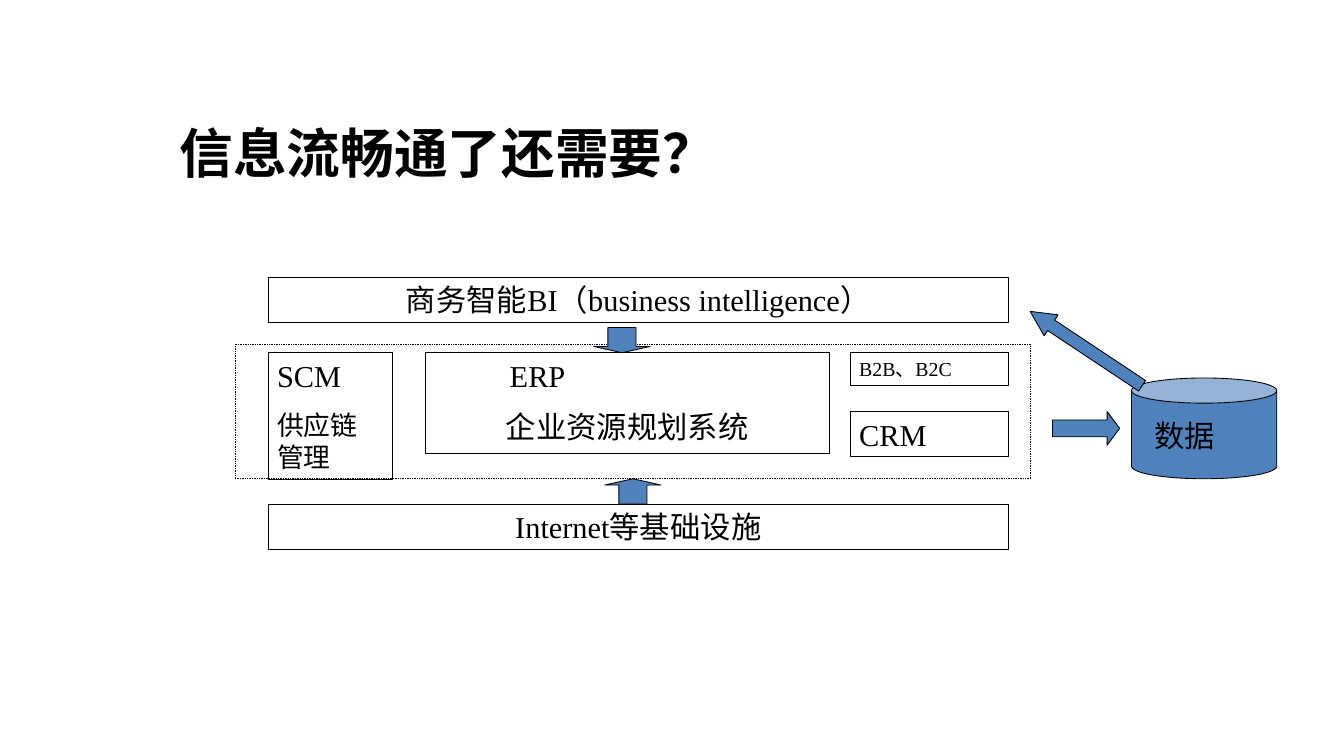
from dataclasses import dataclass

from lxml import etree
from pptx import Presentation
from pptx.dml.color import RGBColor
from pptx.enum.dml import MSO_LINE
from pptx.enum.shapes import MSO_SHAPE
from pptx.enum.text import MSO_ANCHOR, PP_ALIGN
from pptx.oxml.ns import qn
from pptx.util import Inches, Pt

RECT, CAN = MSO_SHAPE.RECTANGLE, MSO_SHAPE.CAN
UP, DOWN = MSO_SHAPE.UP_ARROW, MSO_SHAPE.DOWN_ARROW
LEFT, RIGHT = MSO_SHAPE.LEFT_ARROW, MSO_SHAPE.RIGHT_ARROW
START, CENTER = PP_ALIGN.LEFT, PP_ALIGN.CENTER
TOP, MIDDLE = MSO_ANCHOR.TOP, MSO_ANCHOR.MIDDLE
DOTS = MSO_LINE.ROUND_DOT


@dataclass(frozen=True)
class Theme:
    ink: RGBColor = RGBColor(0, 0, 0)
    blue: RGBColor = RGBColor(0x4F, 0x81, 0xBD)
    serif: str = "Times New Roman"
    sans: str = "Calibri"
    han: str = "Noto Sans CJK SC"
    title: int = 46
    body: int = 26
    note: int = 23
    small: int = 17
    line: float = 0.75
    gap: int = 13


THEME = Theme()


def add_run(para, text, size, face, bold=False):
    run = para.add_run()
    run.text = text
    font = run.font
    font.name, font.size, font.bold = face, Pt(size), bold
    font.color.rgb = THEME.ink
    east = etree.Element(qn("a:ea"), typeface=THEME.han)
    font._element.find(qn("a:latin")).addnext(east)


def set_frame(shape, anchor=TOP, pad=0.1):
    frame = shape.text_frame
    frame.word_wrap = True
    frame.vertical_anchor = anchor
    frame.margin_left = frame.margin_right = Inches(pad)
    frame.margin_top = frame.margin_bottom = Inches(pad / 2)
    return frame


def add_shape(slide, kind, box, fill=None, adjust=()):
    shape = slide.shapes.add_shape(kind, *map(Inches, box))
    shape.shadow.inherit = False
    if fill is None:
        shape.fill.background()
    else:
        shape.fill.solid()
        shape.fill.fore_color.rgb = fill
    shape.line.color.rgb = THEME.ink
    shape.line.width = Pt(THEME.line)
    for i, value in enumerate(adjust):
        shape.adjustments[i] = value
    return shape


def add_block(slide, box, *lines):
    """Draw an outlined box; each line is (text, size, align, indent)."""
    frame = set_frame(add_shape(slide, RECT, box))
    for i, (text, size, align, indent) in enumerate(lines):
        para = frame.add_paragraph() if i else frame.paragraphs[0]
        para.alignment = align
        if i:
            para.space_before = Pt(THEME.gap)
        if indent:
            para._p.get_or_add_pPr().set("marL", str(Inches(indent)))
        add_run(para, text, size, THEME.serif)


def add_label(slide, box, text, size, face, bold=False, anchor=TOP):
    frame = set_frame(slide.shapes.add_textbox(*map(Inches, box)), anchor, 0.14)
    add_run(frame.paragraphs[0], text, size, face, bold)


def add_layers(slide, box):
    """Draw the BI bar, the systems band and the base bar."""
    x, y, w, h = box
    bar = 0.54
    mid, base = y + 0.9, y + h - bar
    big = THEME.body
    side = 1.87
    right = x + w - side
    add_block(slide, (x + 1.87, mid, 4.8, 1.2),
              ("ERP", big, START, 0.9), ("企业资源规划系统", big, CENTER, 0))
    add_block(slide, (x, mid, 1.47, 1.51),
              ("SCM", big, START, 0), ("供应链管理", THEME.note, START, 0))
    add_block(slide, (x, y, w, bar),
              ("商务智能BI（business intelligence）", big, CENTER, 0))
    add_block(slide, (right, mid, side, 0.39),
              ("B2B、B2C", THEME.small, START, 0))
    add_block(slide, (right, mid + 0.7, side, bar), ("CRM", big, START, 0))
    add_block(slide, (x, base, w, bar), ("Internet等基础设施", big, CENTER, 0))
    band = add_shape(slide, RECT, (x - 0.4, mid - 0.1, w + 0.67, 1.6))
    band.line.dash_style = DOTS
    for kind, left, top in ((UP, x + 4, base - 0.3), (DOWN, x + 3.87, mid - 0.3)):
        add_shape(slide, kind, (left, top, 0.67, 0.3), THEME.blue, (0.5, 0.25))


def add_store(slide, box):
    """Draw the data store with the arrows into it and back to BI."""
    x, y, w, h = box
    can = 1.73
    left = x + w - can
    add_shape(slide, CAN, (left, y + 0.5, can, h - 0.5), THEME.blue, (0.25,))
    add_shape(slide, RIGHT, (x + 0.4, y + 0.9, 0.8, 0.4), THEME.blue, (0.5, 0.375))
    back = add_shape(slide, LEFT, (x, y, 1.6, 0.3), THEME.blue, (0.5, 1))
    back.rotation = 33.6
    add_label(slide, (left + 0.13, y + 0.9, 1.47, 0.6), "数据",
              THEME.body, THEME.sans)


def main():
    deck = Presentation()
    deck.slide_width, deck.slide_height = Inches(16), Inches(9)
    slide = deck.slides.add_slide(deck.slide_layouts[6])
    add_label(slide, (2, 1.5, 7.47, 0.61), "信息流畅通了还需要？",
              THEME.title, THEME.han, True, MIDDLE)
    add_layers(slide, (3.2, 3.3, 8.8, 3.24))
    add_store(slide, (12.13, 4, 3.07, 1.7))
    deck.save("out.pptx")


if __name__ == "__main__":
    main()
